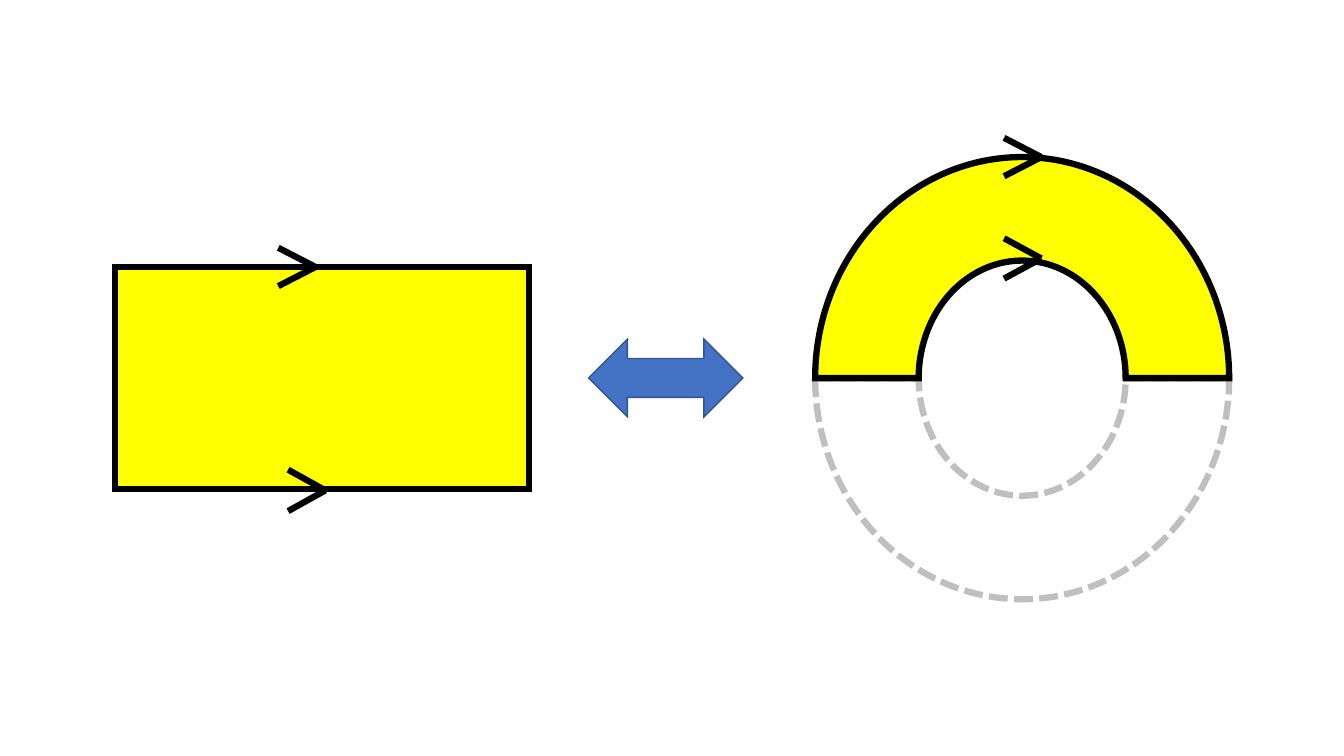
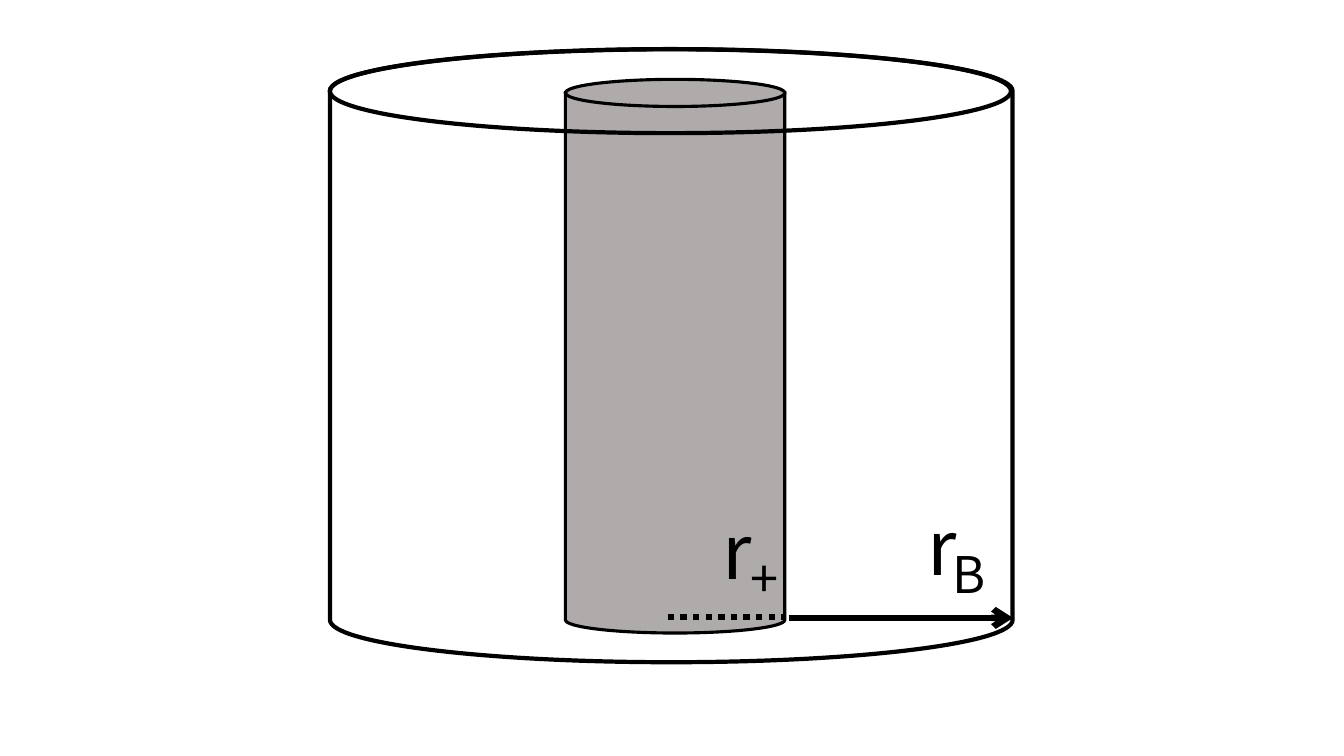
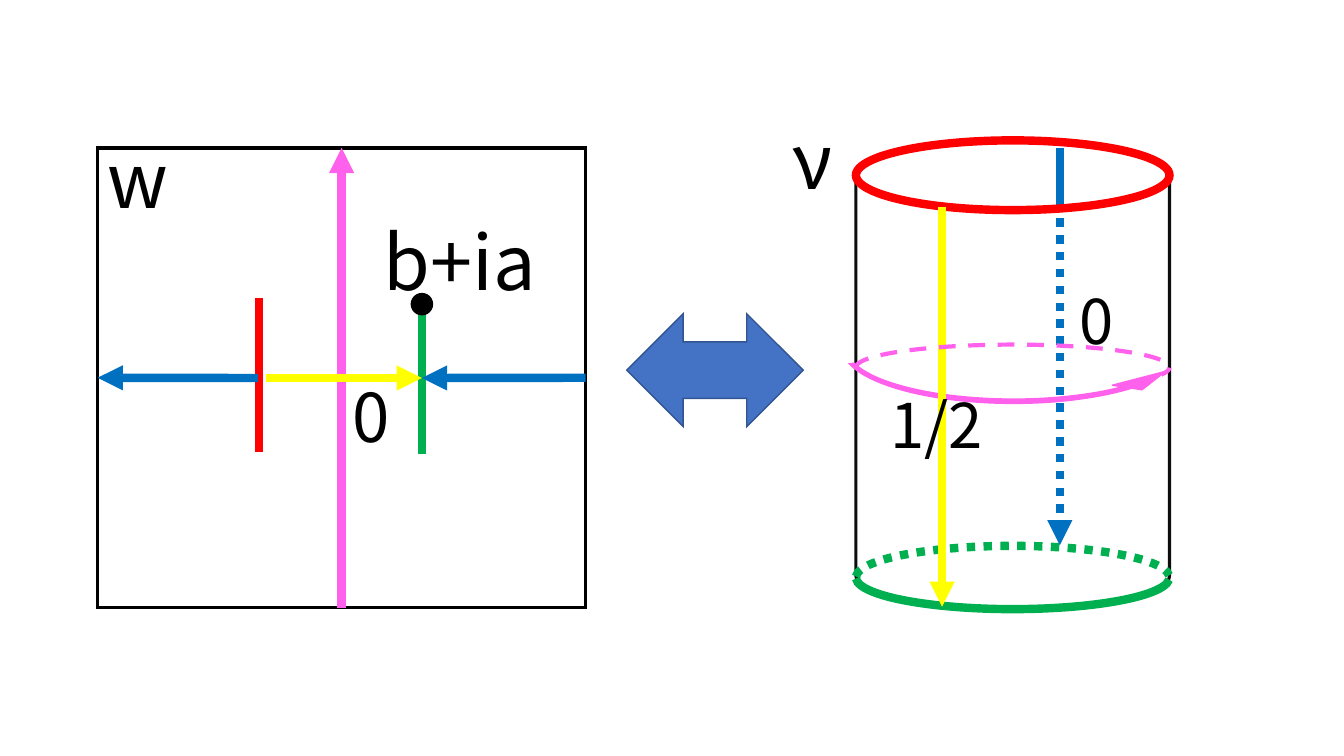
from dataclasses import dataclass

from lxml import etree
from pptx import Presentation
from pptx.dml.color import RGBColor
from pptx.enum import dml, shapes, text
from pptx.oxml.ns import qn
from pptx.util import Pt

PRESET = shapes.MSO_SHAPE
DASH = dml.MSO_LINE


@dataclass(frozen=True)
class Theme:
    font: str = "Noto Sans CJK JP"
    black: str = "000000"
    ink: str = "0D0D0D"
    white: str = "FFFFFF"
    yellow: str = "FFFF00"
    arrow: str = "4472C4"
    arrow_edge: str = "325491"
    ghost: str = "BFBFBF"
    core: str = "AFABAB"
    red: str = "FF0000"
    green: str = "00B050"
    blue: str = "0070C0"
    pink: str = "FF61EC"
    hair: float = 1
    thin: float = 2.25
    medium: float = 3
    bold: float = 4.5
    heavy: float = 6
    label: int = 54
    number: int = 48
    cycle: int = 44
    subscript: int = 36


T = Theme()

STRIP = (82.1, 190.7, 295.7, 158.8)
ANNULUS = (582.3, 112.2, 295.7, 315.8)
CHEVRON_BACK = 26.6
CHEVRONS = [(225.4, 190.7, 13.7), (232.4, 350.3, 14.8),
            (743.8, 112.2, 13.7), (743.8, 184.6, 14.4)]

HORIZON = dict(left=403.9, right=560.6, top=66.2, bottom=442.8,
               top_rise=0, bottom_rise=9.4)
BOUNDARY = dict(left=235.7, right=723.3, top=65, bottom=442.8,
                top_rise=29.8, bottom_rise=30.2)
RADII = [("r", (655.2, 353.5, 34.6, 72.7), T.label),
         ("B", (672.5, 384.5, 39.6, 51.1), T.subscript),
         ("r", (509, 356.4, 34.6, 72.7), T.label),
         ("+", (525.6, 387.4, 41, 51.1), T.subscript)]

PLANE = (69.8, 105.7, 348.5, 328.3)
CUT_X = (185, 301.4)
AXIS_Y = 270
TUBE = dict(left=611.4, right=835.4, top=125.2, bottom=411.4,
            top_rise=25, bottom_rise=25)
RIM = (611.4, 100.3, 224, 49.8)
BASE = (611.4, 389.9, 224, 45.2)
BASE_ARC = (108.22, 215.52)
BACK_CYCLE = (611.4, 246.2, 224, 32.6)
FRONT_CYCLE = (592.6, 200.2, 262.8, 97.2)
MAP_LABELS = [("0", (244.1, 264.2, 41.8, 65.5), T.number),
              ("b+ia", (263.2, 150.2, 130.3, 72.7), T.label),
              ("w", (69.8, 91.4, 56.9, 72.7), T.label),
              ("ν", (545.8, 77.8, 69.1, 72.7), T.label),
              ("1/2", (626, 272.5, 85.7, 60.5), T.cycle),
              ("0", (763.2, 198.7, 39.6, 60.5), T.cycle)]

HANDLE = 0.55
HALF_ELLIPSE = [(-1, HANDLE), (-HANDLE, 1), (0, 1), (HANDLE, 1), (1, HANDLE), (1, 0)]
CURVE_STARTS = (0, 3, 7, 10)


def stroke(item, color, width, dash=None, head=None):
    item.line.color.rgb = RGBColor.from_string(color)
    item.line.width = Pt(width)
    if dash:
        item.line.dash_style = dash
    outline = item._element.spPr.find(qn("a:ln"))
    etree.SubElement(outline, qn("a:miter"), lim="800000")
    if head:
        etree.SubElement(outline, qn("a:tailEnd"), type=head)


def paint(item, fill, color, width, dash=None):
    item.shadow.inherit = False
    if fill:
        item.fill.solid()
        item.fill.fore_color.rgb = RGBColor.from_string(fill)
    else:
        item.fill.background()
    stroke(item, color, width, dash)
    return item


def figure(slide, preset, box, fill, color, width, dash=None, adjust=(), flip=False):
    item = slide.shapes.add_shape(preset, *map(Pt, box))
    for index, value in enumerate(adjust):
        item.adjustments[index] = value
    if flip:
        item._element.spPr.find(qn("a:xfrm")).set("flipV", "1")
    return paint(item, fill, color, width, dash)


def segment(slide, start, end, color, width, dash=None, head=None):
    item = slide.shapes.add_connector(shapes.MSO_CONNECTOR.STRAIGHT, *map(Pt, start + end))
    stroke(item, color, width, dash, head)
    etree.SubElement(item._element.spPr, qn("a:effectLst"))
    return item


def bend(item):
    sides = list(item._element.spPr.iter(qn("a:lnTo")))
    for start in CURVE_STARTS:
        curve = etree.Element(qn("a:cubicBezTo"))
        sides[start].addprevious(curve)
        for side in sides[start:start + 3]:
            curve.append(side[0])
            side.getparent().remove(side)


def cylinder(slide, body, fill, color, width):
    left, right, top, bottom = (body[key] for key in ("left", "right", "top", "bottom"))
    radius, center = (right - left) / 2, (left + right) / 2
    over = [(center + radius * x, top - body["top_rise"] * y) for x, y in HALF_ELLIPSE]
    under = [(center - radius * x, bottom + body["bottom_rise"] * y) for x, y in HALF_ELLIPSE]
    outline = [(Pt(x), Pt(y)) for x, y in over + [(right, bottom)] + under]
    builder = slide.shapes.build_freeform(Pt(left), Pt(top))
    builder.add_line_segments(outline, close=True)
    item = builder.convert_to_shape()
    bend(item)
    return paint(item, fill, color, width)


def write_labels(slide, labels):
    for words, box, size in labels:
        frame = slide.shapes.add_textbox(*map(Pt, box)).text_frame
        frame.word_wrap = False
        frame.auto_size = text.MSO_AUTO_SIZE.SHAPE_TO_FIT_TEXT
        frame.text = words
        line = frame.paragraphs[0]
        line.alignment = text.PP_ALIGN.CENTER
        font = line.runs[0].font
        font.name, font.size = T.font, Pt(size)
        font.color.rgb = RGBColor.from_string(T.black)


def equivalence(slide, box):
    figure(slide, PRESET.LEFT_RIGHT_ARROW, box, T.arrow, T.arrow_edge, T.hair)


def strip_and_annulus(slide):
    figure(slide, PRESET.RECTANGLE, STRIP, T.yellow, T.black, T.bold)
    for x, y, spread in CHEVRONS[:2]:
        chevron(slide, x, y, spread)
    equivalence(slide, (420.4, 242.2, 110.2, 55.6))
    figure(slide, PRESET.BLOCK_ARC, ANNULUS, T.white, T.ghost, T.bold,
           DASH.SQUARE_DOT, flip=True)
    figure(slide, PRESET.BLOCK_ARC, ANNULUS, T.yellow, T.black, T.bold)
    for x, y, spread in CHEVRONS[2:]:
        chevron(slide, x, y, spread)


def chevron(slide, x, y, spread):
    for side in (-1, 1):
        segment(slide, (x - CHEVRON_BACK, y + side * spread), (x, y), T.black, T.bold)


def nested_cylinders(slide):
    cylinder(slide, HORIZON, T.core, T.black, T.thin)
    figure(slide, PRESET.OVAL, (403.9, 56.7, 156.7, 19.4), T.core, T.black, T.thin)
    cylinder(slide, BOUNDARY, None, T.black, T.medium)
    figure(slide, PRESET.OVAL, (235.6, 35.1, 486.6, 60), None, T.black, T.medium)
    segment(slide, (563.8, 441.4), (723.6, 441.4), T.black, T.bold, head="arrow")
    write_labels(slide, RADII)
    segment(slide, (477, 440.6), (561, 440.6), T.black, T.bold, DASH.ROUND_DOT)


def plane_to_tube(slide):
    plane = figure(slide, PRESET.RECTANGLE, PLANE, T.white, T.black, T.thin)
    left, top, width, height = PLANE
    right, middle = left + width, left + width / 2
    for x, y, color in zip(CUT_X, (212.9, 214.3), (T.red, T.green)):
        segment(slide, (x, y), (x, y + 110), color, T.heavy)
    vertical = segment(slide, (middle, top + height), (middle, top),
                       T.pink, T.heavy, head="triangle")
    vertical.begin_connect(plane, 2)
    vertical.end_connect(plane, 0)
    segment(slide, (190, AXIS_Y), (CUT_X[1], AXIS_Y), T.yellow, T.heavy, head="triangle")
    inward = segment(slide, (right, AXIS_Y), (CUT_X[1], AXIS_Y),
                     T.blue, T.heavy, head="triangle")
    inward.begin_connect(plane, 3)
    outward = segment(slide, (184.3, AXIS_Y), (left, AXIS_Y),
                      T.blue, T.heavy, head="triangle")
    outward.end_connect(plane, 1)

    equivalence(slide, (447.7, 224.1, 126, 80.6))

    cylinder(slide, TUBE, T.white, T.ink, T.thin)
    segment(slide, (757, 105.8), (757, 150.5), T.blue, T.heavy)
    figure(slide, PRESET.OVAL, RIM, None, T.red, T.heavy)
    for flip, dash in ((True, None), (False, DASH.ROUND_DOT)):
        figure(slide, PRESET.ARC, BASE, None, T.green, T.heavy, dash, BASE_ARC, flip)
    segment(slide, (757, 156), (757, 389.5), T.blue, T.heavy,
            DASH.ROUND_DOT, "triangle")
    figure(slide, PRESET.CIRCULAR_ARROW, FRONT_CYCLE, T.pink, T.pink, T.hair,
           adjust=(0.032, 6.255, 204.577, 111.217, 0.111), flip=True)
    segment(slide, (672.9, 147.6), (672.9, 433.4), T.yellow, T.heavy, head="triangle")
    write_labels(slide, MAP_LABELS[:2])
    figure(slide, PRESET.FLOWCHART_CONNECTOR, (293.8, 209.7, 15.1, 15.1),
           T.black, T.black, T.hair)
    write_labels(slide, MAP_LABELS[2:4])
    figure(slide, PRESET.ARC, BACK_CYCLE, None, T.pink, T.medium, DASH.DASH,
           (107.82, 1.68))
    write_labels(slide, MAP_LABELS[4:])


def main():
    deck = Presentation()
    deck.slide_width, deck.slide_height = Pt(960), Pt(540)
    for draw in (strip_and_annulus, nested_cylinders, plane_to_tube):
        draw(deck.slides.add_slide(deck.slide_layouts[6]))
    deck.save("out.pptx")


if __name__ == "__main__":
    main()
